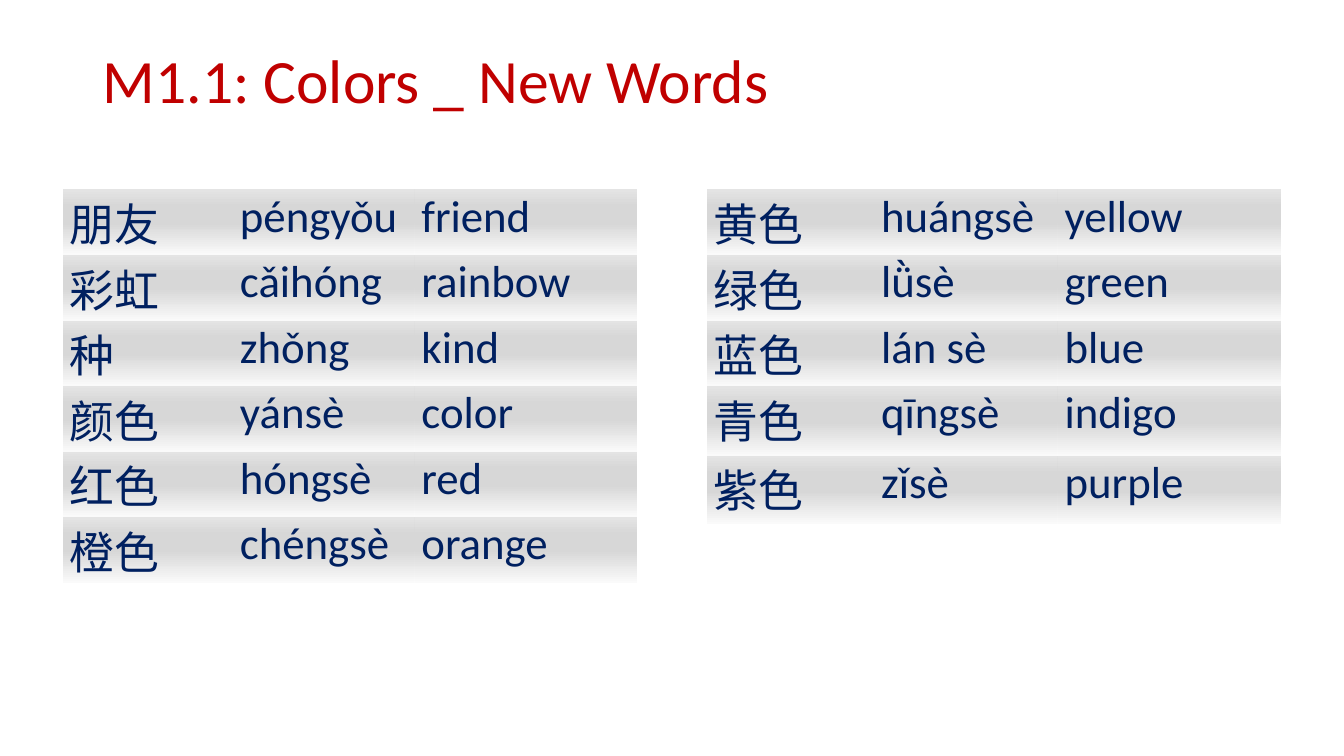
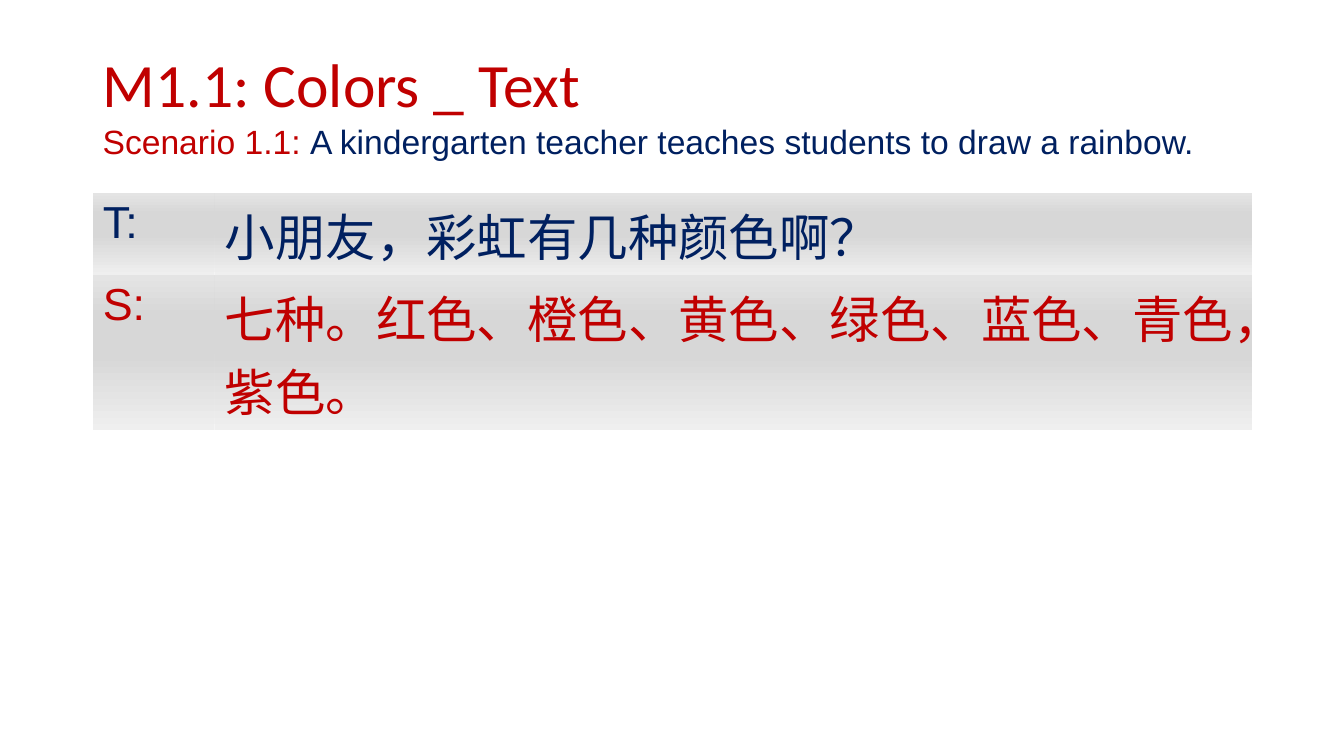
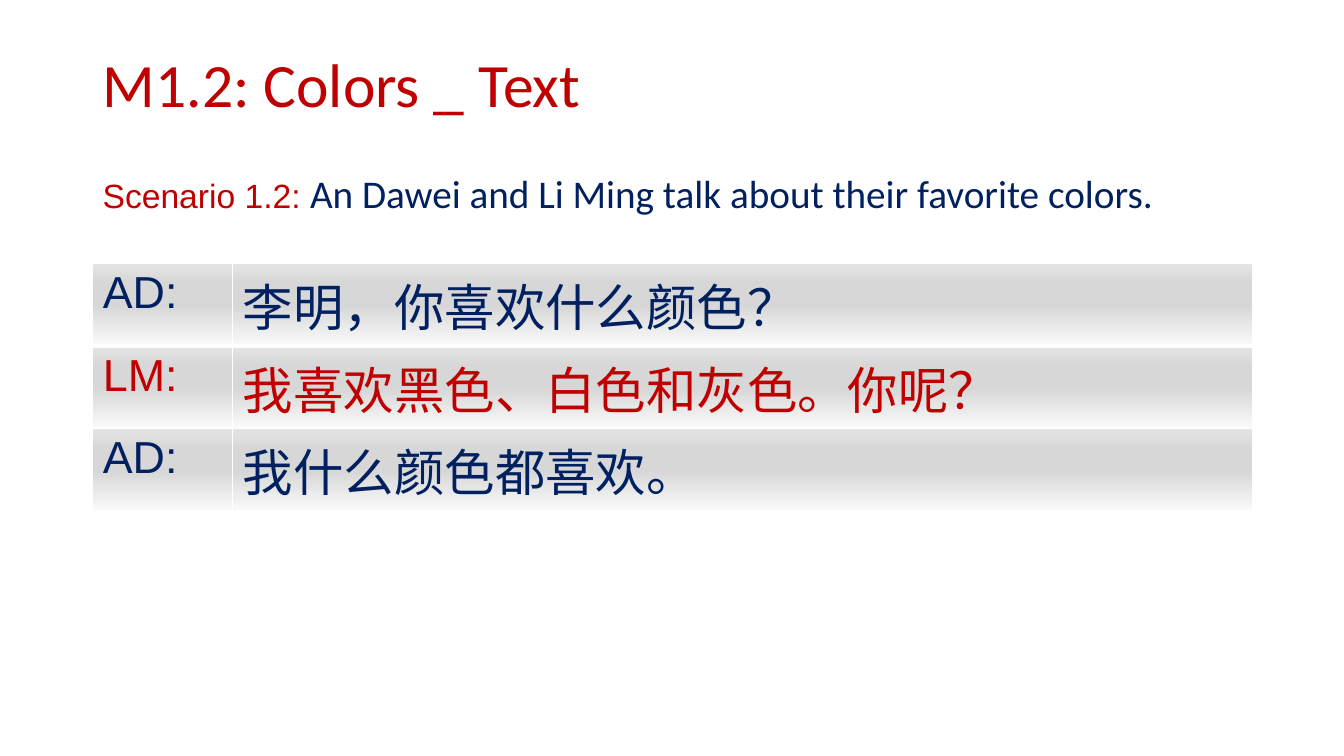
from itertools import cycle

from pptx import Presentation
from pptx.dml.color import RGBColor
from pptx.enum.text import MSO_ANCHOR
from pptx.oxml import parse_xml
from pptx.oxml.ns import nsdecls, qn
from pptx.util import Inches, Pt

RED = RGBColor(0xC0, 0x00, 0x00)
NAVY = RGBColor(0x00, 0x20, 0x60)
NEAR_WHITE = RGBColor(0xFA, 0xFA, 0xFA)
PALE_GRAY = RGBColor(0xEF, 0xEF, 0xEF)
MIDDLE_GRAY = RGBColor(0xD7, 0xD7, 0xD7)
LIGHT_GRAY = RGBColor(0xE4, 0xE4, 0xE4)
WHITE = RGBColor(0xFF, 0xFF, 0xFF)

NO_STYLE_NO_GRID = "{2D5ABB26-0587-4C30-8999-92F81FD0307C}"
LEFT, WIDTH = 0.92, 11.5
WORD_FONTS = [("Calibri", 32)] * 3
DIALOGUE_FONTS = [("Arial", 32), ("Calibri", 36)]


def add_line(slide, top, height, anchor, runs):
    """Add a one-line text box; each run is (text, font name, size, colour)."""
    box = slide.shapes.add_textbox(Inches(LEFT), Inches(top), Inches(WIDTH), Inches(height))
    frame = box.text_frame
    frame.word_wrap = True
    frame.vertical_anchor = anchor
    paragraph = frame.paragraphs[0]
    paragraph.line_spacing = 0.9
    for text, name, size, color in runs:
        run = paragraph.add_run()
        run.text = text
        run.font.name, run.font.size, run.font.color.rgb = name, Pt(size), color


def add_shaded_table(slide, left, top, widths, heights, rows, fonts, colors, bottom_shade=NEAR_WHITE):
    """Add a table with one font per column, row colours in turn and gray gradient cells."""
    shape = slide.shapes.add_table(
        len(rows), len(widths), Inches(left), Inches(top), Inches(sum(widths)), Inches(sum(heights)))
    table = shape.table
    table.first_row = table.horz_banding = False
    table._tbl.tblPr.find(qn("a:tableStyleId")).text = NO_STYLE_NO_GRID
    for column, width in zip(table.columns, widths):
        column.width = Inches(width)
    for row, height in zip(table.rows, heights):
        row.height = Inches(height)

    stops = [(0, bottom_shade), (49, MIDDLE_GRAY), (74, MIDDLE_GRAY), (100, LIGHT_GRAY)]
    stop_xml = "".join(
        f'<a:gs pos="{position * 1000}"><a:srgbClr val="{shade}"/></a:gs>' for position, shade in stops)
    gradient_xml = (f'<a:gradFill {nsdecls("a")} rotWithShape="1"><a:gsLst>{stop_xml}</a:gsLst>'
                    '<a:lin ang="16200000" scaled="0"/></a:gradFill>')
    for row, texts, color in zip(table.rows, rows, cycle(colors)):
        for cell, text, (name, size) in zip(row.cells, texts, fonts):
            cell.text_frame.text = text
            font = cell.text_frame.paragraphs[0].runs[0].font
            font.name, font.size, font.color.rgb = name, Pt(size), color
            cell._tc.get_or_add_tcPr().append(parse_xml(gradient_xml))
    return table


presentation = Presentation()
presentation.slide_width = Inches(13.33)
presentation.slide_height = Inches(7.5)

titles = [("M1.1: Colors _ New Words", 0.35), ("M1.1: Colors _ Text", 0.39), ("M1.2: Colors _ Text", 0.39)]
slides = []
for title, top in titles:
    slide = presentation.slides.add_slide(presentation.slide_layouts[6])
    add_line(slide, top, 0.95, MSO_ANCHOR.MIDDLE, [(title, "Calibri", 44, RED)])
    slides.append(slide)
words_slide, rainbow_slide, favorites_slide = slides

# New words
general_words = [
    ("朋友", "péngyǒu", "friend"),
    ("彩虹", "cǎihóng", "rainbow"),
    ("种", "zhǒng", "kind"),
    ("颜色", "yánsè", "color"),
    ("红色", "hóngsè", "red"),
    ("橙色", "chéngsè", "orange"),
]
color_words = [
    ("黄色", "huángsè", "yellow"),
    ("绿色", "lǜsè", "green"),
    ("蓝色", "lán sè", "blue"),
    ("青色", "qīngsè", "indigo"),
    ("紫色", "zǐsè", "purple"),
]
word_tables = [
    (0.62, [1.69, 1.8, 2.21], [0.65] * 6, general_words),
    (7.01, [1.66, 1.82, 2.22], [0.65, 0.65, 0.65, 0.69, 0.68], color_words),
]
for left, widths, heights, words in word_tables:
    table = add_shaded_table(words_slide, left, 1.88, widths, heights, words, WORD_FONTS, [NAVY])
    for cell in table.iter_cells():
        cell.margin_left = cell.margin_right = Inches(0.07)
        cell.margin_top = cell.margin_bottom = 0

# Rainbow dialogue
add_line(rainbow_slide, 1.2, 0.6, MSO_ANCHOR.TOP, [
    ("Scenario 1.1: ", "Arial", 24, RED),
    ("A kindergarten teacher teaches students to draw a rainbow.", "Arial", 24, NAVY),
])
rainbow_dialogue = [
    ("T:", "小朋友，彩虹有几种颜色啊？"),
    ("S:", "七种。红色、橙色、黄色、绿色、蓝色、青色，紫色。"),
]
add_shaded_table(rainbow_slide, LEFT, 1.91, [1.21, 10.29], [0.82, 1.54],
                 rainbow_dialogue, DIALOGUE_FONTS, [NAVY, RED], PALE_GRAY)

# Favorite colors dialogue
add_line(favorites_slide, 1.68, 0.6, MSO_ANCHOR.TOP, [
    ("Scenario 1.2: ", "Arial", 24, RED),
    ("An Dawei and Li Ming talk about their favorite colors.", "Calibri", 28, NAVY),
])
favorites_dialogue = [
    ("AD:", "李明，你喜欢什么颜色？"),
    ("LM:", "我喜欢黑色、白色和灰色。你呢？"),
    ("AD:", "我什么颜色都喜欢。"),
]
favorites_table = add_shaded_table(favorites_slide, LEFT, 2.61, [1.39, 10.11], [0.82] * 3,
                                   favorites_dialogue, DIALOGUE_FONTS, [NAVY, RED])
for row_index, row in enumerate(favorites_table.rows):
    border_points = {
        "lnL": 1,
        "lnR": 1,
        "lnT": 3 if row_index == 1 else 1,
        "lnB": 3 if row_index == 0 else 1,
    }
    for cell in row.cells:
        for index, (side, points) in enumerate(border_points.items()):
            border = parse_xml(f'<a:{side} {nsdecls("a")} w="{Pt(points)}"><a:solidFill>'
                               f'<a:srgbClr val="{WHITE}"/></a:solidFill></a:{side}>')
            cell._tc.tcPr.insert(index, border)

presentation.save("out.pptx")
